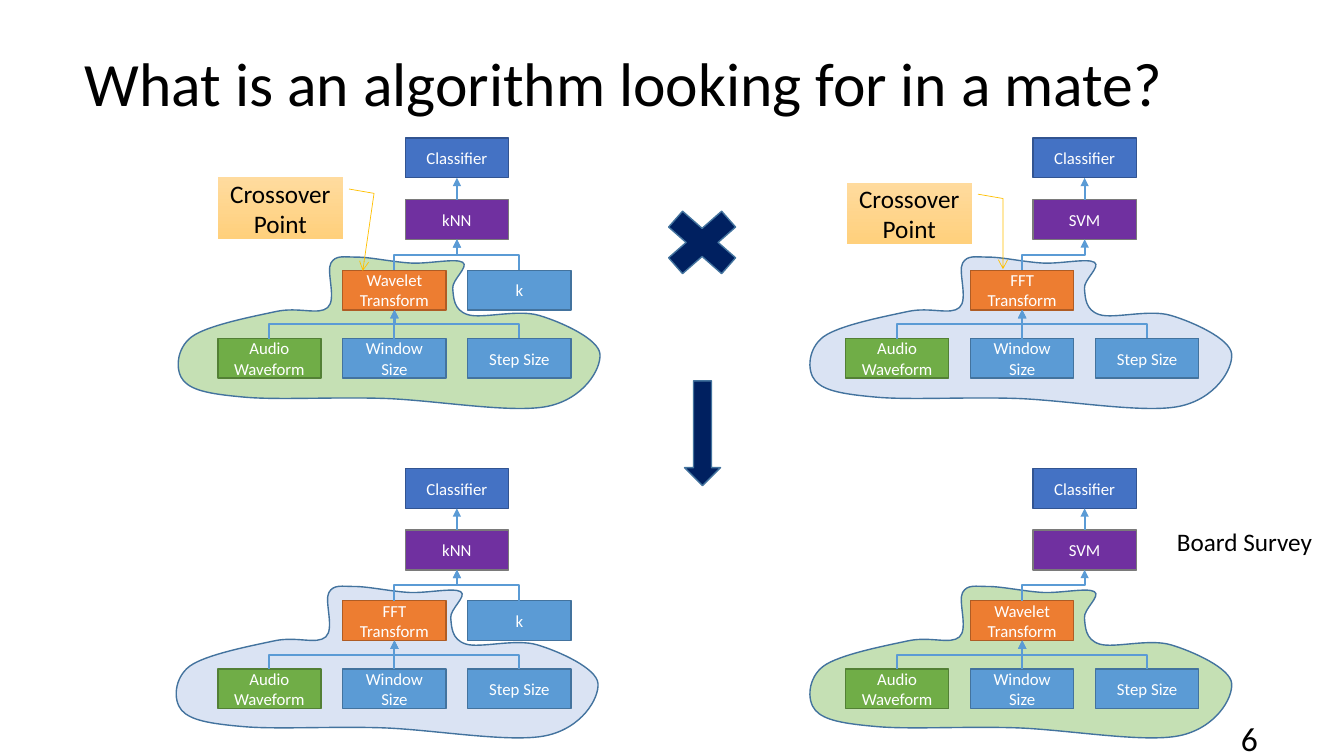
"""Build a slide showing two algorithm trees exchanging branches at their crossover points."""
from dataclasses import dataclass

from lxml import etree
from pptx import Presentation
from pptx.dml.color import RGBColor
from pptx.enum.shapes import MSO_CONNECTOR, MSO_SHAPE
from pptx.enum.text import MSO_ANCHOR, MSO_AUTO_SIZE, PP_ALIGN
from pptx.oxml.ns import qn
from pptx.util import Cm, Pt

PROCESS, CALLOUT = MSO_SHAPE.FLOWCHART_PROCESS, MSO_SHAPE.LINE_CALLOUT_2_NO_BORDER
MULTIPLY, DOWN_ARROW = MSO_SHAPE.MATH_MULTIPLY, MSO_SHAPE.DOWN_ARROW
STRAIGHT, ELBOW = MSO_CONNECTOR.STRAIGHT, MSO_CONNECTOR.ELBOW
LEFT, CENTER, RIGHT = PP_ALIGN.LEFT, PP_ALIGN.CENTER, PP_ALIGN.RIGHT
MIDDLE = MSO_ANCHOR.MIDDLE


@dataclass(frozen=True)
class Theme:
    font: str = "Calibri"
    title_size: int = 44
    number_size: int = 24
    note_size: int = 18
    node_size: int = 12
    ink: str = "000000"
    white: str = "FFFFFF"
    root: tuple = ("4472C4", "325491")
    model: tuple = ("7030A0", "7A7A7A")
    transform: tuple = ("ED7D31", "AF5C24")
    signal: tuple = ("70AD47", "538035")
    parameter: tuple = ("5B9BD5", "43739E")
    operator: tuple = ("002060", "43739E")
    wavelet_branch: tuple = ("C5E0B4", "43739E")
    fft_branch: tuple = ("DAE3F3", "43739E")
    link: str = "5B9BD5"
    callout_top: str = "FFDB9E"
    callout_bottom: str = "FFD07C"
    callout_line: str = "FFC000"


theme = Theme()


def paint(shape, colors):
    fill, edge = colors
    shape.shadow.inherit = False
    shape.fill.solid()
    shape.fill.fore_color.rgb = RGBColor.from_string(fill)
    shape.line.color.rgb = RGBColor.from_string(edge)
    shape.line.width = Pt(1)


def write(shape, text, size, color=theme.ink, align=CENTER, wrap=True):
    frame = shape.text_frame
    frame.text = text
    frame.word_wrap = wrap
    frame.vertical_anchor = MIDDLE
    paragraph = frame.paragraphs[0]
    paragraph.alignment = align
    paragraph.font.name = theme.font
    paragraph.font.size = Pt(size)
    paragraph.font.color.rgb = RGBColor.from_string(color)


prs = Presentation()
prs.slide_width, prs.slide_height = Cm(33.87), Cm(19.05)
slide = prs.slides.add_slide(prs.slide_layouts[5])
shapes = slide.shapes

title = shapes.title
title.left, title.top, title.width, title.height = Cm(1.88), Cm(0.33), Cm(30.68), Cm(3.68)
write(title, "What is an algorithm looking for in a mate?", theme.title_size, align=LEFT)
title.text_frame.auto_size = MSO_AUTO_SIZE.NONE
title.text_frame.paragraphs[0].line_spacing = 0.9

NODE_WIDTH, NODE_HEIGHT, NODE_PITCH = 2.6, 1.0, 3.15
ROOT_Y, MODEL_Y, TRANSFORM_Y, INPUT_Y = 0, 1.55, 3.33, 5.05
BRANCH_ANCHORS = [
    (5.03, 3.56), (1.55, 3.53), (0, 3.12), (0.2, 2.01), (2.33, 1.37),
    (3.63, 1.27), (3.71, 0.15), (4.37, 0), (5.74, 0.15), (7.03, 0.13),
    (6.78, 0.79), (7.16, 1.45), (8.96, 1.47), (10.49, 2.44), (9.17, 3.76),
]
BRANCH_LOOP = BRANCH_ANCHORS[1:] + BRANCH_ANCHORS[:1]

trees = [
    (5.49, 3.48, 4.63, 6.48, "kNN", "Wavelet Transform", theme.wavelet_branch),
    (21.31, 3.48, 20.55, 6.48, "SVM", "FFT Transform", theme.fft_branch),
    (5.49, 11.81, 4.58, 14.78, "kNN", "FFT Transform", theme.fft_branch),
    (21.31, 11.81, 20.55, 14.78, "SVM", "Wavelet Transform", theme.wavelet_branch),
]
for tree_x, tree_y, branch_x, branch_y, model, transform, branch_colors in trees:
    start_x, start_y = BRANCH_ANCHORS[0]
    builder = shapes.build_freeform(Cm(start_x), Cm(start_y))
    builder.add_line_segments([(Cm(x), Cm(y)) for x, y in BRANCH_LOOP], close=True)
    branch = builder.convert_to_shape(Cm(branch_x), Cm(branch_y))
    paint(branch, branch_colors)
    for i, segment in enumerate(list(branch._element.iter(qn("a:lnTo")))):
        before, start = BRANCH_ANCHORS[i - 1], BRANCH_ANCHORS[i]
        end, after = BRANCH_LOOP[i], BRANCH_LOOP[(i + 1) % len(BRANCH_LOOP)]
        leaving = [s + (e - b) / 6 for b, s, e in zip(before, start, end)]
        arriving = [e - (a - s) / 6 for s, e, a in zip(start, end, after)]
        curve = etree.Element(qn("a:cubicBezTo"))
        for x, y in (leaving, arriving, end):
            etree.SubElement(curve, qn("a:pt"), x=str(int(Cm(x))), y=str(int(Cm(y))))
        segment.getparent().replace(segment, curve)

    nodes = [
        ("Classifier", 1.5, ROOT_Y, theme.root),
        (model, 1.5, MODEL_Y, theme.model),
        (transform, 1, TRANSFORM_Y, theme.transform),
        ("Audio Waveform", 0, INPUT_Y, theme.signal),
        ("Window Size", 1, INPUT_Y, theme.parameter),
        ("Step Size", 2, INPUT_Y, theme.parameter),
    ]
    links = [
        (0, INPUT_Y, 1, TRANSFORM_Y),
        (2, INPUT_Y, 1, TRANSFORM_Y),
        (1, INPUT_Y, 1, TRANSFORM_Y),
        (1, TRANSFORM_Y, 1.5, MODEL_Y),
        (1.5, MODEL_Y, 1.5, ROOT_Y),
    ]
    if model == "kNN":
        nodes.append(("k", 2, TRANSFORM_Y, theme.parameter))
        links.append((2, TRANSFORM_Y, 1.5, MODEL_Y))

    for label, column, y, colors in nodes:
        node = shapes.add_shape(PROCESS, Cm(tree_x + column * NODE_PITCH), Cm(tree_y + y),
                                Cm(NODE_WIDTH), Cm(NODE_HEIGHT))
        paint(node, colors)
        write(node, label, theme.node_size, theme.white)

    for child_column, child_y, parent_column, parent_y in links:
        child_x, parent_x = (tree_x + column * NODE_PITCH + NODE_WIDTH / 2
                             for column in (child_column, parent_column))
        bottom, top = tree_y + child_y, tree_y + parent_y + NODE_HEIGHT
        if child_column == parent_column:
            link = shapes.add_connector(STRAIGHT, Cm(child_x), Cm(bottom), Cm(parent_x), Cm(top))
        else:
            center_x, center_y = (child_x + parent_x) / 2, (bottom + top) / 2
            rise, run = bottom - top, parent_x - child_x
            link = shapes.add_connector(
                ELBOW, Cm(center_x - rise / 2), Cm(center_y - run / 2),
                Cm(center_x + rise / 2), Cm(center_y + run / 2))
            link._element.spPr.find(qn("a:xfrm")).set("rot", str(270 * 60000))
        link.line.color.rgb = RGBColor.from_string(theme.link)
        link.line.width = Pt(1.5)
        properties = link._element.spPr
        etree.SubElement(properties.find(qn("a:ln")), qn("a:tailEnd"), type="triangle")
        etree.SubElement(properties, qn("a:effectLst"))

for symbol, x, y, width, height in [
    (MULTIPLY, 16.41, 4.98, 2.57, 2.26),
    (DOWN_ARROW, 17.25, 9.6, 0.91, 2.64),
]:
    paint(shapes.add_shape(symbol, Cm(x), Cm(y), Cm(width), Cm(height)), theme.operator)

for x, y, tip_y, tip_x in [(5.49, 4.47, 1.52, 1.16), (21.34, 4.6, 1.41, 1.25)]:
    crossover = shapes.add_shape(CALLOUT, Cm(x), Cm(y), Cm(3.15), Cm(1.55))
    for i, value in enumerate((0.19, 1.05, 0.26, 1.25, tip_y, tip_x)):
        crossover.adjustments[i] = value
    crossover.shadow.inherit = False
    crossover.fill.gradient()
    crossover.fill.gradient_angle = 270
    for stop, color in zip(crossover.fill.gradient_stops,
                           (theme.callout_top, theme.callout_bottom)):
        stop.color.rgb = RGBColor.from_string(color)
    crossover.line.color.rgb = RGBColor.from_string(theme.callout_line)
    crossover.line.width = Pt(0.5)
    etree.SubElement(crossover._element.spPr.find(qn("a:ln")), qn("a:tailEnd"), type="arrow")
    write(crossover, "Crossover Point", theme.note_size)

slide_number = shapes.add_textbox(Cm(24.33), Cm(18.08), Cm(7.62), Cm(1.02))
write(slide_number, "6", theme.number_size, align=RIGHT)
survey_note = shapes.add_textbox(Cm(29.41), Cm(13.13), Cm(3.96), Cm(1.03))
write(survey_note, "Board Survey", theme.note_size, align=LEFT, wrap=False)

prs.save("out.pptx")
